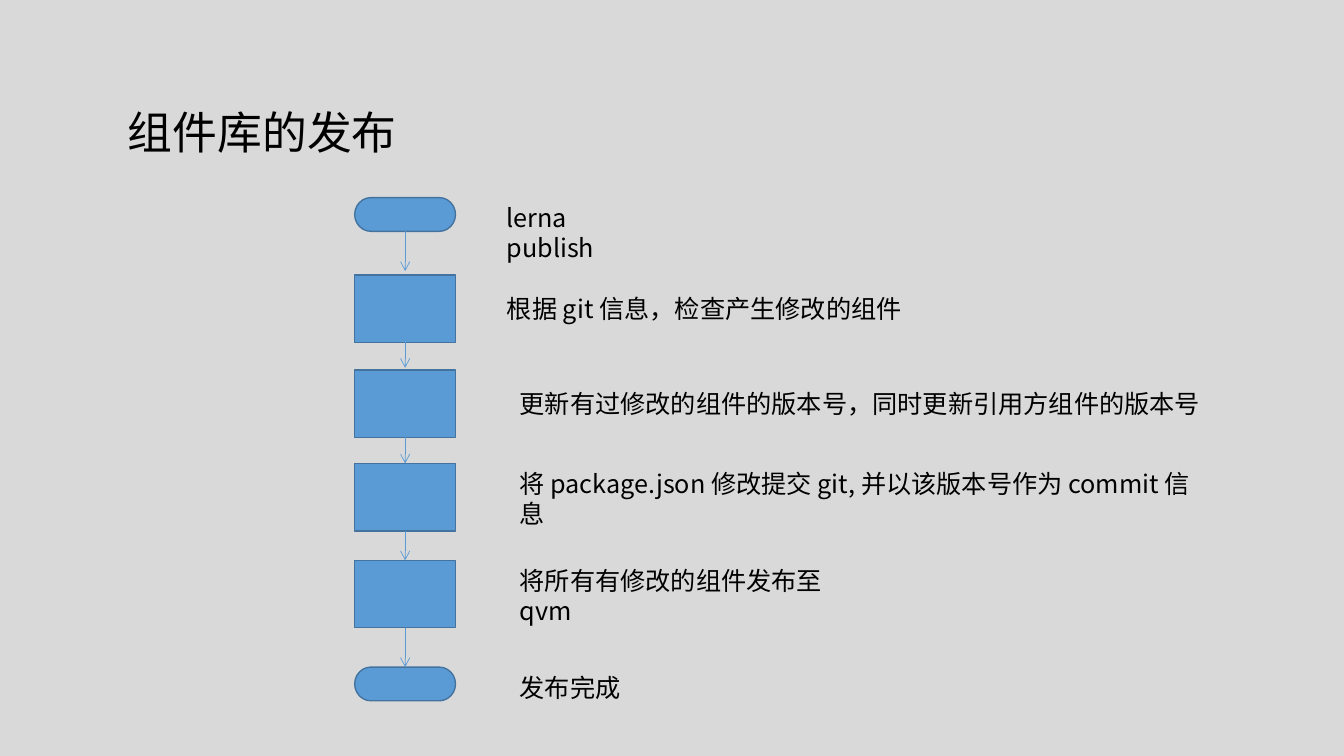
from lxml.etree import SubElement
from pptx import Presentation
from pptx.dml.color import RGBColor
from pptx.enum.shapes import MSO_CONNECTOR as Connector, MSO_SHAPE as Shape
from pptx.enum.text import MSO_ANCHOR as Anchor, MSO_AUTO_SIZE as AutoSize, PP_ALIGN as Align
from pptx.oxml.ns import qn
from pptx.util import Cm, Pt


def color(value):
    return RGBColor.from_string(value)


def write(shape, text, size, typeface, alignment=Align.LEFT):
    frame = shape.text_frame
    frame_format = {"word_wrap": True, "auto_size": AutoSize.NONE, "vertical_anchor": Anchor.TOP}
    for name, value in frame_format.items():
        setattr(frame, name, value)
    paragraph = frame.paragraphs[0]
    paragraph.alignment = alignment
    run = paragraph.add_run()
    run.text = text
    for name, value in {"size": Pt(size), "name": typeface}.items():
        setattr(run.font, name, value)
    run.font.color.rgb = color("000000")
    SubElement(run.font._element, qn("a:ea"), typeface=typeface)


presentation = Presentation()
presentation.slide_width = Cm(33.87)
presentation.slide_height = Cm(19.05)
slide = presentation.slides.add_slide(presentation.slide_layouts[5])
slide.background.fill.solid()
slide.background.fill.fore_color.rgb = color("D9D9D9")

title = slide.shapes.title
title_box = {"left": Cm(2.97), "top": Cm(2.51), "width": Cm(12.57), "height": Cm(1.6)}
for name, value in title_box.items():
    setattr(title, name, value)
write(title, "组件库的发布", 32, "Noto Sans CJK TC")

END, STEP = (Shape.FLOWCHART_TERMINATOR, 0.85), (Shape.FLOWCHART_PROCESS, 1.7)
steps = [
    (END, 4.98, "lerna publish", 12.52, 4.98, 4.01, Align.LEFT),
    (STEP, 6.93, "根据 git 信息，检查产生修改的组件", 12.52, 7.26, 10.46, Align.CENTER),
    (STEP, 9.32, "更新有过修改的组件的版本号，同时更新引用方组件的版本号", 12.85, 9.65, 17.65, Align.LEFT),
    (STEP, 11.68, "将 package.json 修改提交 git, 并以该版本号作为 commit 信息", 12.85, 11.68, 17.53, Align.LEFT),
    (STEP, 14.12, "将所有有修改的组件发布至 qvm", 12.85, 14.12, 9.55, Align.LEFT),
    (END, 16.81, "发布完成", 12.85, 16.81, 3.05, Align.LEFT),
]
for (preset, height), top, label, label_left, label_top, label_width, alignment in steps:
    box = slide.shapes.add_shape(preset, Cm(8.94), Cm(top), Cm(2.54), Cm(height))
    box.shadow.inherit = False
    box.fill.solid()
    box.fill.fore_color.rgb = color("5B9BD5")
    box.line.color.rgb = color("43739E")
    box.line.width = Pt(1)
    text_box = slide.shapes.add_textbox(Cm(label_left), Cm(label_top), Cm(label_width), Cm(1.02))
    write(text_box, label, 18, "Noto Sans CJK SC", alignment)

arrows = [(5.82, 6.83), (8.28, 9.27), (10.67, 11.68), (13.39, 14.12), (15.82, 16.81)]
for start, end in arrows:
    arrow = slide.shapes.add_connector(Connector.STRAIGHT, Cm(10.21), Cm(start), Cm(10.21), Cm(end))
    arrow.line.color.rgb = color("5B9BD5")
    arrow.line.width = Pt(0.5)
    SubElement(arrow.line._get_or_add_ln(), qn("a:tailEnd"), type="arrow")
    SubElement(arrow._element.spPr, qn("a:effectLst"))

presentation.save("out.pptx")
